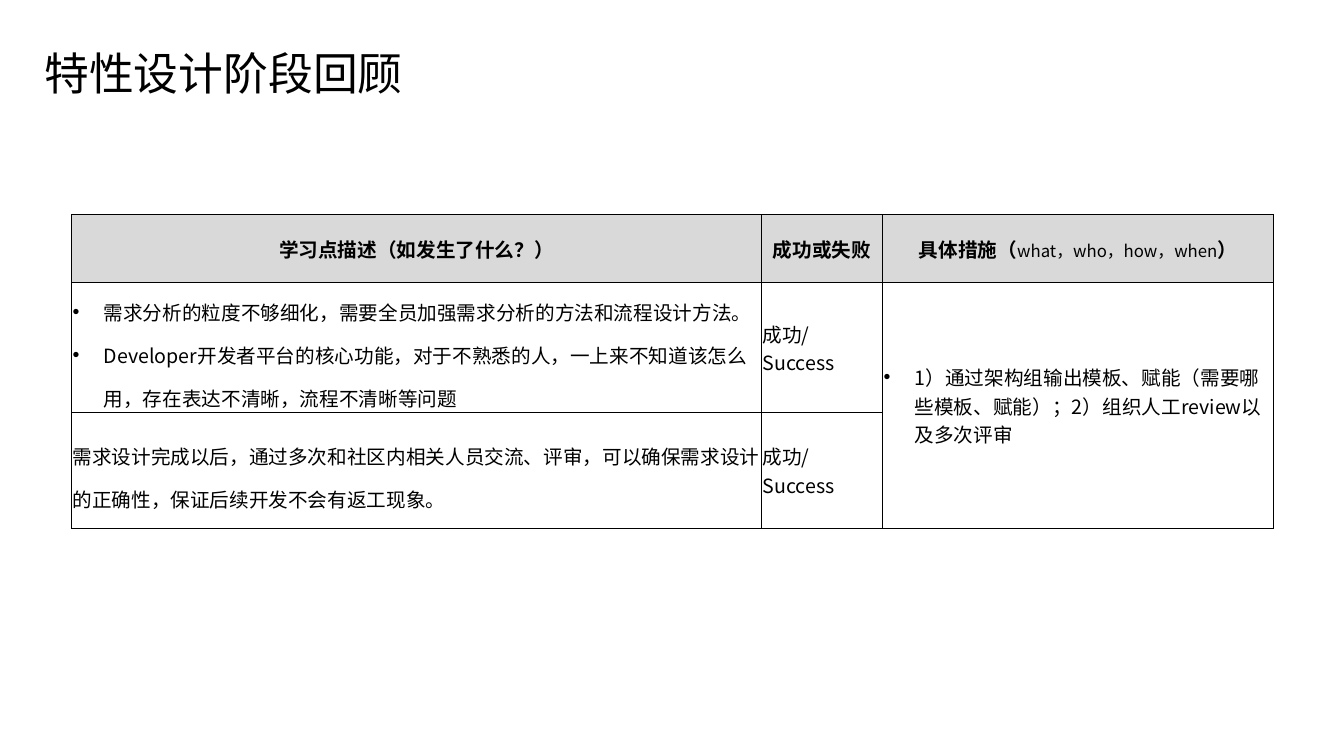
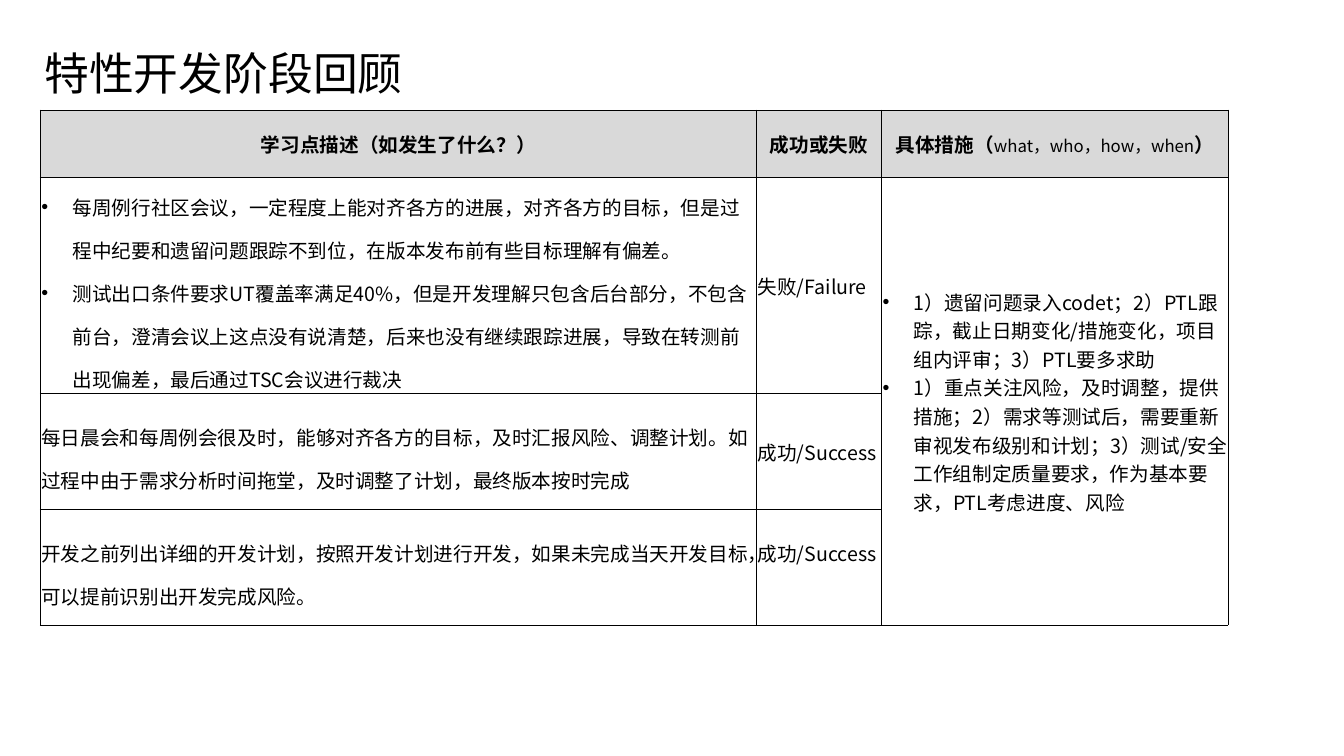
import dataclasses

import lxml.etree
import pptx
import pptx.dml.color
import pptx.enum.text
import pptx.oxml.ns
import pptx.util

PX = 9144  # EMU per px, 100 px to the inch
ALIGN = pptx.enum.text.PP_ALIGN
MIDDLE = pptx.enum.text.MSO_ANCHOR.MIDDLE


@dataclasses.dataclass(frozen=True)
class Theme:
    font: str = "Noto Sans CJK SC"
    ink: str = "000000"
    paper: str = "FFFFFF"
    header: str = "D9D9D9"
    title_size: int = 32
    title_line: float = 34.4
    body_size: int = 14
    small_size: int = 12
    border: float = 0.5
    indent: int = 31
    loose: float = 1.5


THEME = Theme()
TITLE_BOX = (34, 40, 1267, 69)
CELL_MARGINS = {"margin_left": 1, "margin_right": 1, "margin_top": 1, "margin_bottom": 0}
HEADER_ROW = (
    [("学习点描述（如发生了什么？）", True)],
    [("成功或失败", True)],
    [("具体措施（", True), ("what，who，how，when", False), ("）", True)],
)
SUCCESS = "成功/Success"
FAILURE = "失败/Failure"


@dataclasses.dataclass(frozen=True)
class Lesson:
    points: list
    result: str
    height: int
    result_lift: int = 0


@dataclasses.dataclass(frozen=True)
class Review:
    title: str
    origin: tuple
    columns: tuple
    lessons: list
    actions: list


REVIEWS = [
    Review(
        "特性设计阶段回顾", (71, 213), (685, 120, 388),
        [
            Lesson([
                "需求分析的粒度不够细化，需要全员加强需求分析的方法和流程设计方法。",
                "Developer开发者平台的核心功能，对于不熟悉的人，一上来不知道该怎么用，"
                "存在表达不清晰，流程不清晰等问题",
            ], SUCCESS, 129),
            Lesson([
                "需求设计完成以后，通过多次和社区内相关人员交流、评审，"
                "可以确保需求设计的正确性，保证后续开发不会有返工现象。",
            ], SUCCESS, 115),
        ],
        ["1）通过架构组输出模板、赋能（需要哪些模板、赋能）；2）组织人工review以及多次评审"],
    ),
    Review(
        "特性开发阶段回顾", (40, 109), (711, 124, 344),
        [
            Lesson([
                "每周例行社区会议，一定程度上能对齐各方的进展，对齐各方的目标，"
                "但是过程中纪要和遗留问题跟踪不到位，在版本发布前有些目标理解有偏差。",
                "测试出口条件要求UT覆盖率满足40%，但是开发理解只包含后台部分，不包含前台，"
                "澄清会议上这点没有说清楚，后来也没有继续跟踪进展，导致在转测前出现偏差，"
                "最后通过TSC会议进行裁决",
            ], FAILURE, 214),
            Lesson([
                "每日晨会和每周例会很及时，能够对齐各方的目标，及时汇报风险、调整计划。"
                "如过程中由于需求分析时间拖堂，及时调整了计划，最终版本按时完成",
            ], SUCCESS, 115),
            Lesson([
                "开发之前列出详细的开发计划，按照开发计划进行开发，"
                "如果未完成当天开发目标，可以提前识别出开发完成风险。",
            ], SUCCESS, 115, 28),
        ],
        [
            "1）遗留问题录入codet；2）PTL跟踪，截止日期变化/措施变化，项目组内评审；3）PTL要多求助",
            "1）重点关注风险，及时调整，提供措施；2）需求等测试后，需要重新审视发布级别和计划；"
            "3）测试/安全工作组制定质量要求，作为基本要求，PTL考虑进度、风险",
        ],
    ),
]
HEADER_HEIGHT = 67


def px(length):
    return pptx.util.Emu(length * PX)


def rgb(value):
    return pptx.dml.color.RGBColor.from_string(value)


def apply(target, values):
    for name, value in values.items():
        setattr(target, name, value)


def child(parent, tag, **attributes):
    return lxml.etree.SubElement(parent, pptx.oxml.ns.qn(tag), attributes)


def add_span(para, text, size, bold=False):
    span = para.add_run()
    span.text = text
    apply(span.font, {"name": THEME.font, "size": pptx.util.Pt(size), "bold": bold})
    span.font.color.rgb = rgb(THEME.ink)
    child(span._r.get_or_add_rPr(), "a:ea", typeface=THEME.font)


def add_bullet(para):
    indent = px(THEME.indent)
    properties = para._p.get_or_add_pPr()
    properties.set("marL", str(indent))
    properties.set("indent", str(-indent))
    child(properties, "a:buFont", typeface="Arial")
    child(properties, "a:buChar", char="•")


def place_title(slide, text, box):
    title = slide.shapes.title
    apply(title, dict(zip(("left", "top", "width", "height"), map(px, box))))
    apply(title.text_frame, {
        "word_wrap": True,
        "vertical_anchor": MIDDLE,
        "auto_size": pptx.enum.text.MSO_AUTO_SIZE.NONE,
    })
    para = title.text_frame.paragraphs[0]
    apply(para, {"alignment": ALIGN.LEFT, "line_spacing": pptx.util.Pt(THEME.title_line)})
    add_span(para, text, THEME.title_size)


def format_cell(cell, fill):
    apply(cell, {name: px(value) for name, value in CELL_MARGINS.items()})
    cell.vertical_anchor = MIDDLE
    properties = cell._tc.get_or_add_tcPr()
    for side in ("a:lnL", "a:lnR", "a:lnT", "a:lnB"):
        line = child(properties, side, w=str(pptx.util.Pt(THEME.border)))
        child(child(line, "a:solidFill"), "a:srgbClr", val=THEME.ink)
    cell.fill.solid()
    cell.fill.fore_color.rgb = rgb(fill)


def write_cell(cell, texts, bulleted=False, spacing=1.0):
    frame = cell.text_frame
    for index, text in enumerate(texts):
        para = frame.add_paragraph() if index else frame.paragraphs[0]
        apply(para, {"alignment": ALIGN.LEFT, "line_spacing": spacing})
        if bulleted:
            add_bullet(para)
        add_span(para, text, THEME.body_size)


def write_header(table):
    for cell, parts in zip(table.rows[0].cells, HEADER_ROW):
        para = cell.text_frame.paragraphs[0]
        para.alignment = ALIGN.CENTER
        for text, bold in parts:
            add_span(para, text, THEME.body_size if bold else THEME.small_size, bold)


def place_review_table(slide, review):
    heights = [HEADER_HEIGHT] + [lesson.height for lesson in review.lessons]
    box = (*review.origin, sum(review.columns), sum(heights))
    table = slide.shapes.add_table(len(heights), len(review.columns), *map(px, box)).table
    apply(table, {"first_row": False, "horz_banding": False})
    for column, width in zip(table.columns, review.columns):
        column.width = px(width)
    for index, height in enumerate(heights):
        row = table.rows[index]
        row.height = px(height)
        for cell in row.cells:
            format_cell(cell, THEME.paper if index else THEME.header)

    write_header(table)
    for index, lesson in enumerate(review.lessons, 1):
        write_cell(table.cell(index, 0), lesson.points, len(lesson.points) > 1, THEME.loose)
        result = table.cell(index, 1)
        write_cell(result, [lesson.result])
        result.margin_bottom = px(lesson.result_lift)
    actions = table.cell(1, 2)
    actions.merge(table.cell(len(review.lessons), 2))
    write_cell(actions, review.actions, bulleted=True)


def add_review_slide(deck, review):
    slide = deck.slides.add_slide(deck.slide_layouts[5])
    place_title(slide, review.title, TITLE_BOX)
    place_review_table(slide, review)


def main():
    deck = pptx.Presentation()
    apply(deck, {"slide_width": px(1334), "slide_height": px(750)})
    for review in REVIEWS:
        add_review_slide(deck, review)
    deck.save("out.pptx")


if __name__ == "__main__":
    main()
